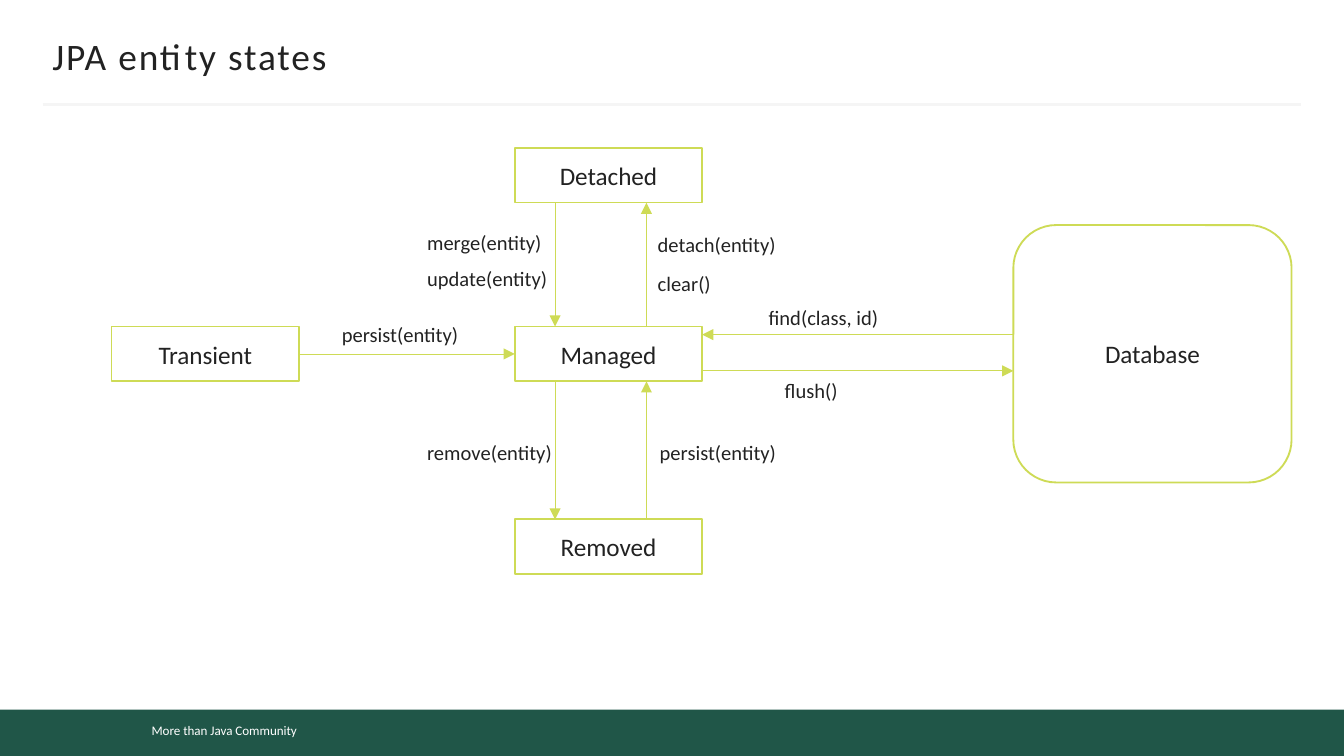
from collections import namedtuple

from lxml.etree import SubElement
from pptx import Presentation
from pptx.dml.color import RGBColor
from pptx.enum.shapes import MSO_CONNECTOR, MSO_SHAPE
from pptx.enum.text import MSO_ANCHOR, MSO_AUTO_SIZE, PP_ALIGN
from pptx.oxml.ns import qn
from pptx.util import Inches, Pt

WHITE = RGBColor(0xFF, 0xFF, 0xFF)
INK = RGBColor(0x22, 0x22, 0x22)
GREEN = RGBColor(0x20, 0x56, 0x48)
LIME = RGBColor(0xCE, 0xDB, 0x56)
RULE = RGBColor(0xF5, 0xF5, 0xF5)
FONT = "Calibri"
SLIDE_W = 10
SLIDE_H = SLIDE_W * 9 / 16

Box = namedtuple("Box", "x y w h")


def part(box, cols, rows, x, y, w=0, h=0):
    """Box at column x and row y of a cols by rows grid laid over box."""
    cw, rh = box.w / cols, box.h / rows
    return Box(box.x + x * cw, box.y + y * rh, w * cw, h * rh)


def emu(box):
    return [Inches(v) for v in box]


def add_run(p, text, size, color=INK):
    r = p.add_run()
    r.text = text
    r.font.name, r.font.size, r.font.color.rgb = FONT, Pt(size), color
    return r


def add_block(s, box, fill, line=None, kind=MSO_SHAPE.RECTANGLE):
    sp = s.shapes.add_shape(kind, *emu(box))
    sp.shadow.inherit = False
    sp.fill.solid()
    sp.fill.fore_color.rgb = fill
    if line is None:
        sp.line.fill.background()
    else:
        sp.line.color.rgb, sp.line.width = line, Pt(1)
    return sp


def add_line(s, start, end, color, width, arrow=False):
    cn = s.shapes.add_connector(MSO_CONNECTOR.STRAIGHT, *emu(start + end))
    cn.line.color.rgb, cn.line.width = color, Pt(width)
    if arrow:
        SubElement(cn.line._get_or_add_ln(), qn("a:tailEnd"), type="triangle")
    SubElement(cn._element.spPr, qn("a:effectLst"))
    return cn


def add_label(s, box, text):
    sp = s.shapes.add_textbox(*emu(box))
    tf = sp.text_frame
    tf.word_wrap = False
    tf.auto_size = MSO_AUTO_SIZE.SHAPE_TO_FIT_TEXT
    add_run(tf.paragraphs[0], text, 11)


def add_node(s, box, name, kind=MSO_SHAPE.RECTANGLE):
    sp = add_block(s, box, WHITE, LIME, kind)
    tf = sp.text_frame
    tf.vertical_anchor = MSO_ANCHOR.MIDDLE
    p = tf.paragraphs[0]
    p.alignment = PP_ALIGN.CENTER
    add_run(p, name, 13.5)
    return sp


def add_header(s, box, text):
    title = s.shapes.title
    title.left, title.top, title.width, title.height = emu(
        Box(box.x + 0.07, box.y, box.w - 0.14, 0.33))
    tf = title.text_frame
    tf.margin_left = tf.margin_right = 0
    tf.word_wrap, tf.auto_size = True, MSO_AUTO_SIZE.NONE
    tf.vertical_anchor = MSO_ANCHOR.MIDDLE
    p = tf.paragraphs[0]
    p.alignment = PP_ALIGN.LEFT
    r = add_run(p, text, 20)
    r.font._element.set("spc", "100")
    bottom = box.y + box.h
    add_line(s, (box.x, bottom), (box.x + box.w, bottom), RULE, 1.5)


def add_footer(s, box, text):
    add_block(s, box, GREEN)
    sp = add_block(s, Box(box.x + 1.03, box.y + 0.05, 2.65, 0.22), GREEN)
    tf = sp.text_frame
    tf.vertical_anchor = MSO_ANCHOR.TOP
    p = tf.paragraphs[0]
    p.alignment = PP_ALIGN.LEFT
    add_run(p, text, 7, WHITE)


def add_state_diagram(s, box):
    cols, rows = 87.8, 31.7
    node_w, node_h = 13.95, 4.08
    state_x, db_x = 30, 67.1
    detached_y, managed_y, removed_y = 0, 13.3, 27.65
    down_x, up_x = state_x + 3, state_x + 9.8
    find_y, flush_y = managed_y + 0.6, managed_y + 3.3

    def place(*cell):
        return part(box, cols, rows, *cell)

    nodes = {}
    for name, x, y in [("Detached", state_x, detached_y),
                       ("Managed", state_x, managed_y),
                       ("Transient", 0, managed_y),
                       ("Removed", state_x, removed_y)]:
        nodes[name] = add_node(s, place(x, y, node_w, node_h), name)
    add_node(s, place(db_x, 5.75, 20.7, 19.15), "Database",
             MSO_SHAPE.ROUNDED_RECTANGLE)

    middle = managed_y + node_h / 2
    right = state_x + node_w
    arrows = [(node_w, middle, state_x, middle),
              (right, flush_y, db_x, flush_y),
              (db_x, find_y, right, find_y)]
    for upper, lower in [(detached_y, managed_y), (managed_y, removed_y)]:
        arrows += [(down_x, upper + node_h, down_x, lower),
                   (up_x, lower, up_x, upper + node_h)]
    lines = [add_line(s, place(x1, y1)[:2], place(x2, y2)[:2], LIME, 0.5, True)
             for x1, y1, x2, y2 in arrows]
    lines[0].begin_connect(nodes["Transient"], 3)
    lines[0].end_connect(nodes["Managed"], 1)

    left_x, right_x = 22.5, 39.65
    for text, x, y, w in [("persist(entity)", 16.15, 12.45, 10.8),
                          ("merge(entity)", left_x, 5.6, 10.6),
                          ("update(entity)", left_x, 8.3, 11),
                          ("detach(entity)", right_x, 5.8, 10.9),
                          ("clear()", right_x, 8.7, 6),
                          ("remove(entity)", left_x, 21.25, 11.4),
                          ("persist(entity)", up_x, 21.25, 10.8),
                          ("flush()", 49.1, 16.65, 6),
                          ("find(class, id)", 47.9, 11.2, 10.2)]:
        add_label(s, place(x, y, w, 2.9), text)


def main():
    prs = Presentation()
    prs.slide_width, prs.slide_height = Inches(SLIDE_W), Inches(SLIDE_H)
    s = prs.slides.add_slide(prs.slide_layouts[5])
    add_footer(s, Box(0, 5.28, SLIDE_W, SLIDE_H - 5.28),
               "More than Java Community")
    add_header(s, Box(0.32, 0.25, 9.36, 0.53), "JPA entity states")
    add_state_diagram(s, Box(0.83, 1.1, 8.78, 3.17))
    prs.save("out.pptx")


if __name__ == "__main__":
    main()
